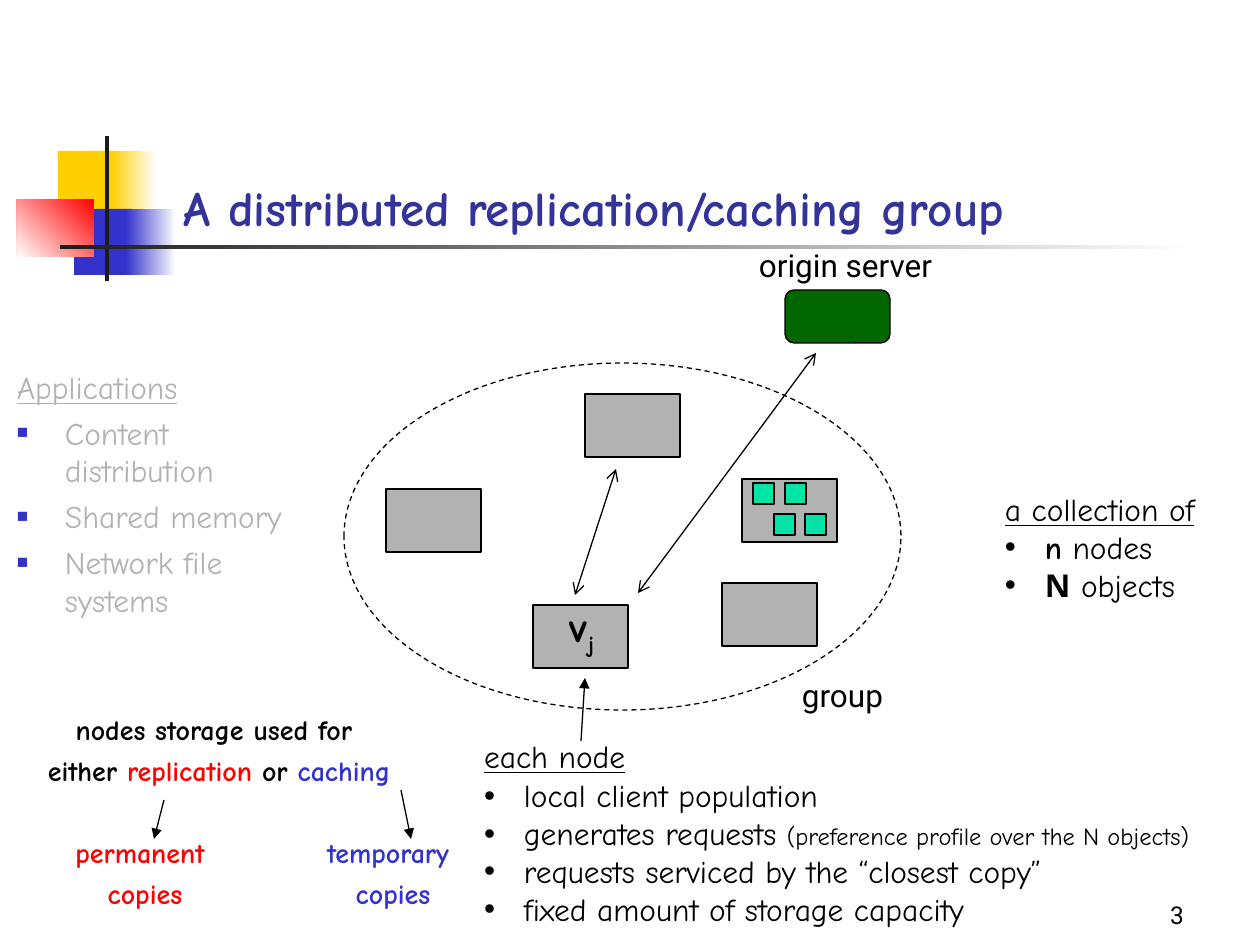
from dataclasses import dataclass

from lxml.etree import SubElement
from pptx import Presentation
from pptx.dml.color import RGBColor
from pptx.enum.dml import MSO_LINE
from pptx.enum.shapes import MSO_CONNECTOR, MSO_SHAPE
from pptx.enum.text import MSO_ANCHOR, PP_ALIGN
from pptx.oxml.ns import qn
from pptx.util import Emu, Pt

SCALE = 914400 / 126


@dataclass(frozen=True)
class Theme:
    """Colours, fonts and type sizes of the slide."""
    white: str = "FFFFFF"
    black: str = "000000"
    bar: str = "1C1C1C"
    yellow: str = "FFCF01"
    blue: str = "3333CC"
    red: str = "FF0000"
    title: str = "333399"
    gray: str = "B2B2B2"
    server: str = "006600"
    item: str = "00E4A8"
    hand: str = "Comic Neue"
    plain: str = "Roboto"
    title_size: int = 28
    label_size: int = 24
    body_size: int = 18
    note_size: int = 16
    small_size: int = 14
    line: float = 0.74


THEME = Theme()


def px(value):
    """Turn pixels into EMU."""
    return Emu(round(value * SCALE))


def rgb(color):
    """Turn a hex string into a colour."""
    return RGBColor.from_string(color)


def add_box(slide, box, fill=None, gradient=None, angle=180, outline=False,
            kind=MSO_SHAPE.RECTANGLE, dash=None):
    """Add a preset shape with a solid, gradient or empty fill."""
    shape = slide.shapes.add_shape(kind, *map(px, box))
    shape.shadow.inherit = False
    if gradient:
        shape.fill.gradient()
        shape.fill.gradient_angle = angle
        for stop, color in zip(shape.fill.gradient_stops, gradient):
            stop.color.rgb = rgb(color)
    elif fill:
        shape.fill.solid()
        shape.fill.fore_color.rgb = rgb(fill)
    else:
        shape.fill.background()
    if outline:
        shape.line.color.rgb = rgb(THEME.black)
        shape.line.width = Pt(THEME.line)
        if dash:
            shape.line.dash_style = dash
    else:
        shape.line.fill.background()
    return shape


def add_arrow(slide, start, end, head=None, tail="triangle"):
    """Add a thin black line with arrowheads at its ends."""
    connector = slide.shapes.add_connector(
        MSO_CONNECTOR.STRAIGHT, *map(px, (*start, *end)))
    connector.line.color.rgb = rgb(THEME.black)
    connector.line.width = Pt(THEME.line)
    for name, kind in (("a:headEnd", head), ("a:tailEnd", tail)):
        if kind:
            SubElement(connector.get_or_add_ln(), qn(name), type=kind)
    SubElement(connector.element.spPr, qn("a:effectLst"))


def add_bullet(paragraph, char, color, percent):
    """Give a paragraph a coloured bullet."""
    properties = paragraph._p.get_or_add_pPr()
    bullet_color = SubElement(properties, qn("a:buClr"))
    SubElement(bullet_color, qn("a:srgbClr"), val=color)
    SubElement(properties, qn("a:buSzPct"), val=str(percent * 1000))
    SubElement(properties, qn("a:buFont"), typeface="Arial")
    SubElement(properties, qn("a:buChar"), char=char)


def add_text(slide, box, paragraphs, size=THEME.body_size, font=THEME.hand,
             color=THEME.black, bold=False, align=PP_ALIGN.LEFT,
             anchor=MSO_ANCHOR.TOP, before=0, first_after=0, top_inset=6,
             indent=0, bullet="•", bullet_color=THEME.black, bullet_percent=100):
    """Add paragraphs of (text, format) runs; an indent bullets all but the first."""
    frame = slide.shapes.add_textbox(*map(px, box)).text_frame
    frame.word_wrap = True
    frame.vertical_anchor = anchor
    frame.margin_left = frame.margin_right = px(13)
    frame.margin_top, frame.margin_bottom = px(top_inset), px(6)
    for index, runs in enumerate(paragraphs):
        paragraph = frame.paragraphs[0] if index == 0 else frame.add_paragraph()
        paragraph.alignment = align
        paragraph.space_before = Pt(before)
        paragraph.space_after = Pt(0 if index else first_after)
        if indent and index:
            properties = paragraph._p.get_or_add_pPr()
            properties.set("marL", str(px(indent)))
            properties.set("indent", str(px(-indent)))
            add_bullet(paragraph, bullet, bullet_color, bullet_percent)
        for text, style in runs:
            run = paragraph.add_run()
            run.text = text
            run.font.name = font
            run.font.size = Pt(style.get("size", size))
            run.font.bold = style.get("bold", bold)
            run.font.underline = style.get("underline", False)
            run.font.color.rgb = rgb(style.get("color", color))
            if "baseline" in style:
                run.font._element.set("baseline", str(style["baseline"] * 1000))


def lines(*texts, **style):
    """Make one single-run paragraph of each text."""
    return [[(text, style)] for text in texts]


def draw_header(slide, left, top):
    """Draw the coloured squares, the crossed bars and the title."""
    fade = THEME.white
    add_box(slide, (left + 41, top + 15, 60, 66), THEME.yellow)
    add_box(slide, (left + 94, top + 15, 45, 66), gradient=(fade, THEME.yellow))
    add_box(slide, (left + 57, top + 73, 58, 66), THEME.blue)
    add_box(slide, (left + 109, top + 73, 50, 66), gradient=(fade, THEME.blue))
    add_box(slide, (left, top + 63, 77, 58), gradient=(THEME.red, fade), angle=225)
    add_box(slide, (left + 88, top, 4, 145), THEME.bar)
    add_box(slide, (left + 43, top + 109, 1134, 4), gradient=(fade, THEME.bar))
    add_text(slide, (left + 154, top - 52, 1074, 158),
             lines("A distributed replication/caching group"),
             size=THEME.title_size, color=THEME.title, bold=True,
             anchor=MSO_ANCHOR.BOTTOM)


def draw_network(slide, left, top):
    """Draw the group of nodes with its origin server."""
    add_box(slide, (left, top, 557, 347), outline=True, kind=MSO_SHAPE.OVAL,
            dash=MSO_LINE.DASH)
    for x, y in ((42, 126), (189, 242), (241, 31), (398, 116), (378, 220)):
        add_box(slide, (left + x, top + y, 95, 63), THEME.gray, outline=True)
    for x, y in ((409, 120), (441, 120), (430, 151), (461, 151)):
        add_box(slide, (left + x, top + y, 21, 21), THEME.item, outline=True)
    add_box(slide, (left + 441, top - 73, 105, 53), THEME.server, outline=True,
            kind=MSO_SHAPE.ROUNDED_RECTANGLE)
    add_text(slide, (left + 213, top + 232, 64, 71),
             [[("v", {}), ("j", {"baseline": -25})]],
             size=THEME.label_size, bold=True)
    for start, end in (((231, 232), (272, 106)), ((294, 230), (472, -10))):
        add_arrow(slide, (left + start[0], top + start[1]),
                  (left + end[0], top + end[1]), head="arrow", tail="arrow")
    for text, box in (("origin server", (402, -123, 213, 50)),
                      ("group", (445, 307, 115, 50))):
        add_text(slide, (left + box[0], top + box[1], *box[2:]), lines(text),
                 font=THEME.plain)


def draw_node_facts(slide, left, top):
    """Draw the list that describes each node, with its arrow."""
    add_arrow(slide, (left + 110, top + 20), (left + 114, top - 43))
    facts = lines("each node", underline=True) + lines("local client population")
    facts.append([("generates requests ", {}),
                  ("(preference profile over the N objects)",
                   {"size": THEME.small_size})])
    facts += lines("requests serviced by the “closest copy”",
                   "fixed amount of storage capacity")
    add_text(slide, (left, top, 814, 214), facts, indent=40, top_inset=16,
             first_after=1)


def draw_collection(slide, left, top):
    """Draw the list of what the group holds."""
    strong = {"bold": True}
    add_text(slide, (left, top, 226, 126),
             lines("a collection of", underline=True)
             + [[("n", strong), (" nodes", {})], [("Ν", strong), (" objects", {})]],
             indent=40)


def draw_applications(slide, left, top):
    """Draw the list of applications."""
    add_text(slide, (left, top, 315, 415),
             lines("Applications", underline=True)
             + lines("Content distribution", "Shared memory", "Network file systems"),
             color=THEME.gray, before=4.5, indent=48, bullet="■",
             bullet_color=THEME.blue, bullet_percent=60)


def draw_storage(slide, left, top):
    """Draw the two uses of storage and the copies they lead to."""
    style = {"size": THEME.note_size, "bold": True, "before": 4,
             "align": PP_ALIGN.CENTER}
    use = [("either ", {}), ("replication", {"color": THEME.red}), (" or ", {}),
           ("caching", {"color": THEME.blue})]
    add_text(slide, (left, top, 400, 87),
             lines("nodes storage used for ") + [use], **style)
    for word, color, x, start, end in (
            ("permanent ", THEME.red, 26, (145, 93), (135, 132)),
            ("temporary ", THEME.blue, 274, (382, 83), (392, 132))):
        add_text(slide, (left + x, top + 123, 200, 87),
                 lines(word, "copies"), color=color, **style)
        add_arrow(slide, (left + start[0], top + start[1]),
                  (left + end[0], top + end[1]))


def main():
    """Build and save the slide."""
    presentation = Presentation()
    presentation.slide_width, presentation.slide_height = px(1260), px(945)
    slide = presentation.slides.add_slide(presentation.slide_layouts[6])
    draw_header(slide, 17, 136)
    draw_network(slide, 344, 363)
    draw_node_facts(slide, 471, 721)
    draw_collection(slide, 992, 484)
    draw_applications(slide, 4, 362)
    draw_storage(slide, 19, 707)
    add_text(slide, (935, 872, 262, 63), lines("3"), size=THEME.small_size,
             font=THEME.plain, align=PP_ALIGN.RIGHT, anchor=MSO_ANCHOR.BOTTOM)
    presentation.save("out.pptx")


main()
